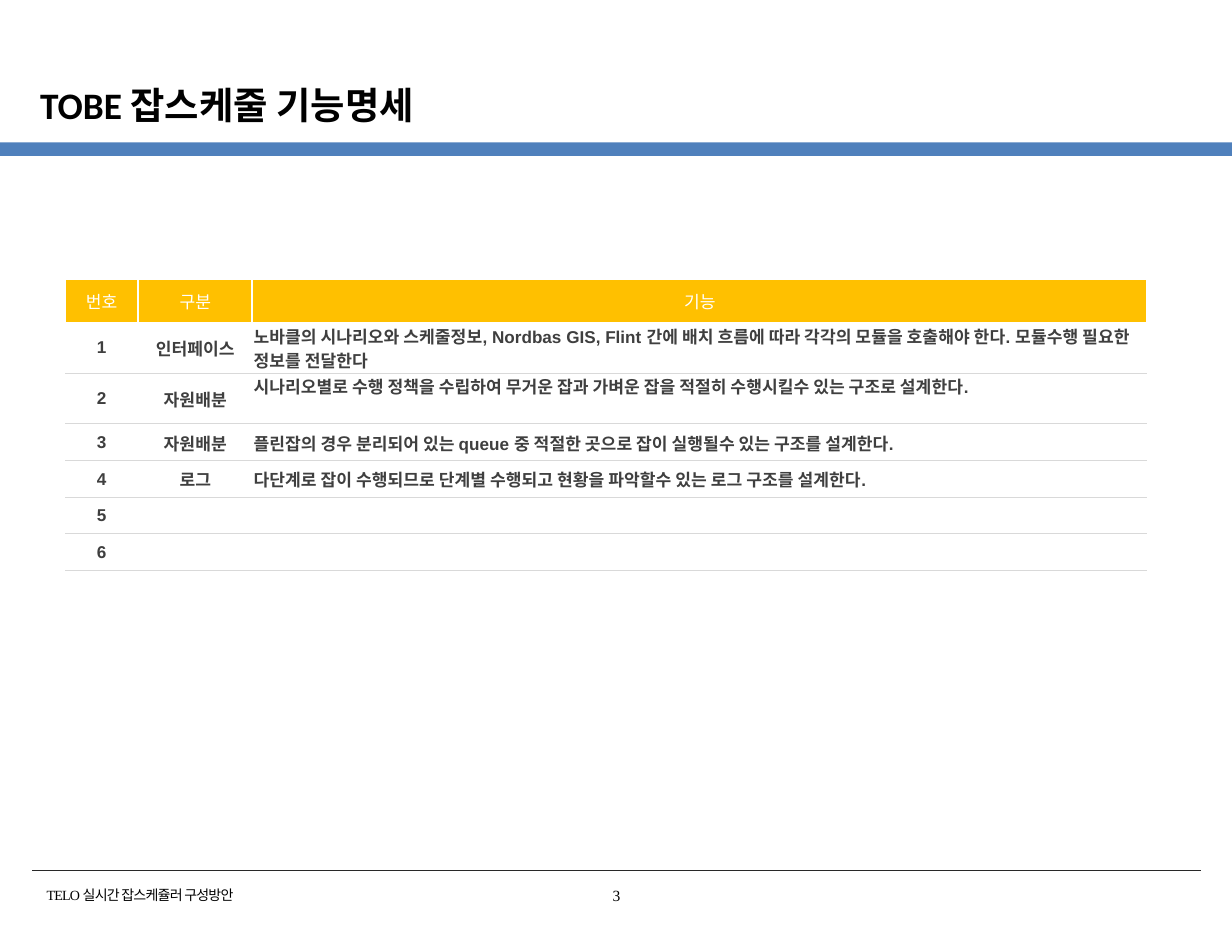
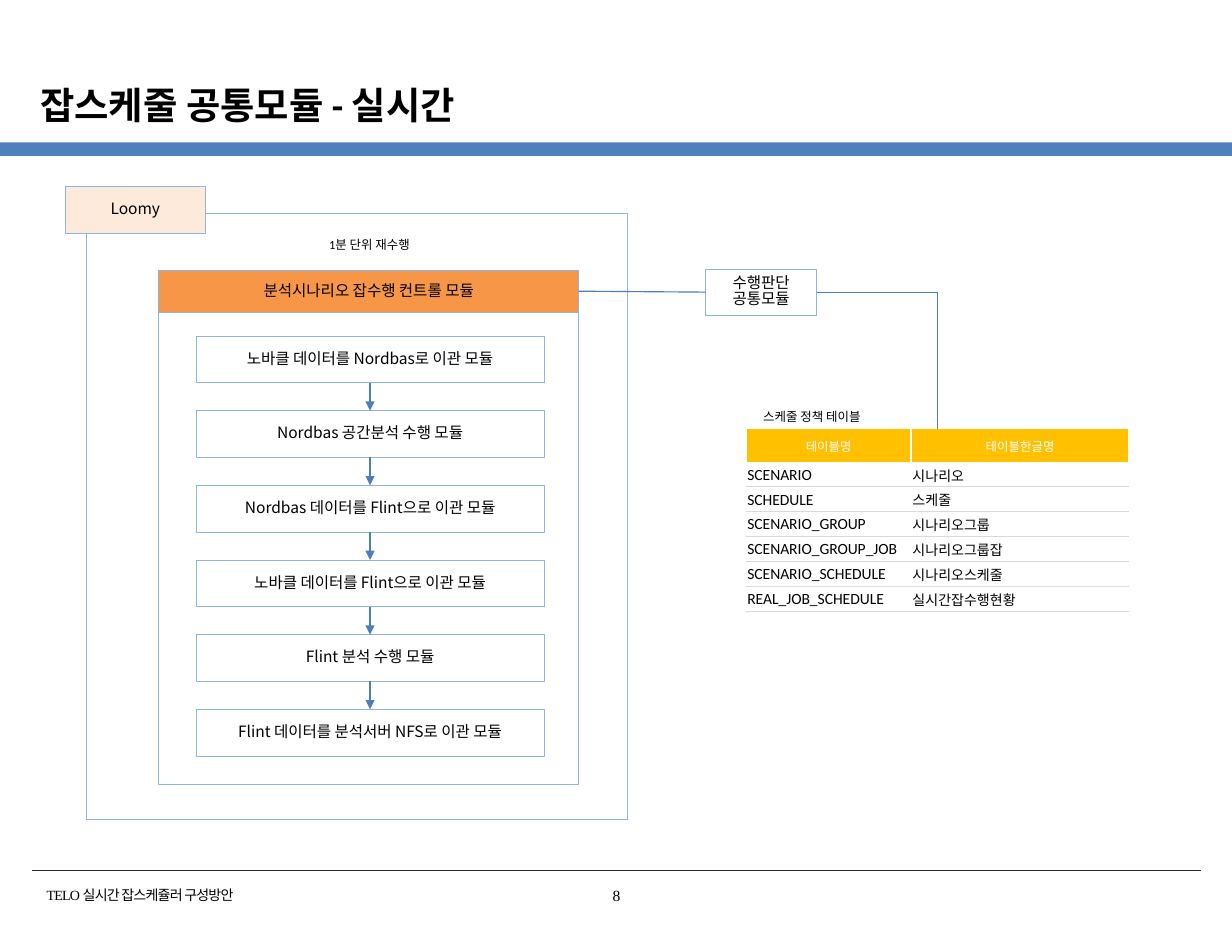
from dataclasses import dataclass

from lxml.etree import SubElement
from pptx import Presentation
from pptx.dml.color import RGBColor
from pptx.enum.shapes import MSO_CONNECTOR, MSO_SHAPE
from pptx.enum.text import MSO_ANCHOR, MSO_AUTO_SIZE, PP_ALIGN
from pptx.oxml.ns import qn
from pptx.util import Emu, Inches, Pt


@dataclass(frozen=True)
class Theme:
    # Colours
    black: str = "000000"
    white: str = "FFFFFF"
    body: str = "3F3F3F"
    band: str = "4F80BC"
    rule: str = "282828"
    outline: str = "8EB4E3"
    arrow: str = "4B7EBC"
    control: str = "F79646"
    engine: str = "FDEADA"
    table_head: str = "FFC000"
    table_rule: str = "D9D9D9"
    # Fonts
    heading: str = "Calibri"
    table: str = "Arial"
    footer: str = "Times New Roman"
    diagram: str = "Noto Sans CJK JP"
    korean: str = "Noto Sans CJK KR"
    # Type sizes
    title_size: float = 24
    table_size: float = 11
    box_size: float = 10
    footer_size: float = 9
    label_size: float = 8


THEME = Theme()
UNITS_PER_INCH = 12  # the page grid: 132 columns by 102 rows
COLUMNS, ROWS = 132, 102
NO_TABLE_STYLE = "{2D5ABB26-0587-4C30-8999-92F81FD0307C}"


def grid(*units):
    """Turn grid columns or rows into slide lengths."""
    return [Emu(round(Inches(1) * unit / UNITS_PER_INCH)) for unit in units]


def colour(value):
    return RGBColor.from_string(value)


# Text

def write(frame, text, *, size, font=THEME.heading, east=THEME.korean,
          ink=THEME.black, bold=False, align=PP_ALIGN.LEFT,
          anchor=MSO_ANCHOR.TOP, inset=None, spacing=None, before=None,
          tracking=None):
    """Fill a text frame, one paragraph for each line of text."""
    frame.word_wrap = True
    frame.vertical_anchor = anchor
    if inset is not None:
        frame.margin_left = frame.margin_right = Inches(inset)
        frame.margin_top = frame.margin_bottom = Inches(inset)
    for index, line in enumerate(text.split("\n")):
        para = frame.add_paragraph() if index else frame.paragraphs[0]
        para.alignment = align
        if spacing:
            para.line_spacing = spacing
        if before is not None:
            para.space_before = Pt(before)
        span = para.add_run()
        span.text = line
        span.font.size = Pt(size)
        span.font.bold = bold
        span.font.color.rgb = colour(ink)
        span.font.name = font
        properties = span.font._element
        SubElement(properties, qn("a:ea")).set("typeface", east)
        if tracking:
            properties.set("spc", str(round(tracking * 100)))


def add_label(page, text, place, **format):
    label = page.shapes.add_textbox(*grid(*place))
    write(label.text_frame, text, **format)
    return label


# Shapes and lines

def add_box(page, place, text="", *, fill=THEME.white, line=THEME.outline,
            font=THEME.diagram, east=THEME.diagram):
    box = page.shapes.add_shape(MSO_SHAPE.RECTANGLE, *grid(*place))
    box.shadow.inherit = False
    if fill:
        box.fill.solid()
        box.fill.fore_color.rgb = colour(fill)
    else:
        box.fill.background()
    if line:
        box.line.color.rgb = colour(line)
        box.line.width = Pt(0.25)
    else:
        box.line.fill.background()
    if text:
        write(box.text_frame, text, size=THEME.box_size, font=font, east=east,
              align=PP_ALIGN.CENTER, anchor=MSO_ANCHOR.MIDDLE, inset=0,
              spacing=0.85)
    return box


def add_line(page, start, end, *, ink=THEME.arrow, width=0.75, arrow=False,
             corner=False):
    kind = MSO_CONNECTOR.ELBOW if corner else MSO_CONNECTOR.STRAIGHT
    line = page.shapes.add_connector(kind, *grid(*start, *end))
    line.line.color.rgb = colour(ink)
    line.line.width = Pt(width)
    properties = line._element.spPr
    if corner:
        properties.find(qn("a:prstGeom")).set("prst", "bentConnector2")
    if arrow:
        SubElement(properties.find(qn("a:ln")), qn("a:tailEnd")).set("type", "triangle")
    SubElement(properties, qn("a:effectLst"))
    return line


# Tables

def set_borders(cell, sides, ink, width):
    properties = cell._tc.get_or_add_tcPr()
    for index, side in enumerate(sides):
        border = SubElement(properties, qn(f"a:ln{side}"))
        border.set("w", str(Pt(width)))
        fill = SubElement(border, qn("a:solidFill"))
        SubElement(fill, qn("a:srgbClr")).set("val", ink)
        properties.insert(index, border)


def write_cell(cell, text, *, margins=None, anchor=MSO_ANCHOR.MIDDLE, **format):
    if text:
        write(cell.text_frame, text, **format)
    cell.vertical_anchor = anchor
    if margins is not None:
        cell.margin_left = cell.margin_right = cell.margin_top = Inches(margins)
        cell.margin_bottom = 0


def add_table(page, corner, widths, heights, header, records, *, head_format,
              column_formats, top_rows=()):
    """Add a table with a filled header and thin rules under the records."""
    size = (sum(widths), sum(heights))
    frame = page.shapes.add_table(len(heights), len(widths), *grid(*corner, *size))
    table = frame.table
    table._tbl.tblPr.find(qn("a:tableStyleId")).text = NO_TABLE_STYLE
    for column, width in zip(table.columns, grid(*widths)):
        column.width = width
    for row, height in zip(table.rows, grid(*heights)):
        row.height = height
    for index, text in enumerate(header):
        cell = table.cell(0, index)
        write_cell(cell, text, ink=THEME.white, align=PP_ALIGN.CENTER, **head_format)
        cell.fill.solid()
        cell.fill.fore_color.rgb = colour(THEME.table_head)
        set_borders(cell, "LR", THEME.white, 1.5)
    for number, record in enumerate(records, 1):
        for index, (text, format) in enumerate(zip(record, column_formats)):
            cell = table.cell(number, index)
            at_top = (number, index) in top_rows
            write_cell(cell, text, margins=0.01,
                       anchor=MSO_ANCHOR.TOP if at_top else MSO_ANCHOR.MIDDLE,
                       **format)
            cell.fill.background()
            set_borders(cell, "B", THEME.table_rule, 0.5)
    return table


# Shared page frame

def add_page(deck, title, number):
    page = deck.slides.add_slide(deck.slide_layouts[5])
    add_box(page, (0, 15.25, COLUMNS, 1.45), fill=THEME.band, line=None)
    add_line(page, (3.45, 93.25), (128.65, 93.25), ink=THEME.rule, width=0.25)
    add_label(page, "TELO 실시간 잡스케쥴러 구성방안", (5, 95, 38, 1.8),
              size=THEME.footer_size, font=THEME.footer, inset=0, before=1.5,
              tracking=-0.5)
    add_box(page, (63.6, 94.45, 4.9, 3.35), str(number), line=None,
            font=THEME.footer)
    heading = page.shapes.title
    heading.left, heading.top, heading.width, heading.height = grid(3.1, 8, 107.3, 6.5)
    heading.text_frame.auto_size = MSO_AUTO_SIZE.NONE
    write(heading.text_frame, title, size=THEME.title_size, bold=True,
          anchor=MSO_ANCHOR.MIDDLE)
    return page


# Pages

def add_functions_page(deck):
    page = add_page(deck, "TOBE 잡스케줄 기능명세", 3)
    records = [
        ("1", "인터페이스", "노바클의 시나리오와 스케줄정보, Nordbas GIS, Flint 간에 배치 흐름에 "
         "따라 각각의 모듈을 호출해야 한다. 모듈수행 필요한 정보를 전달한다"),
        ("2", "자원배분", "시나리오별로 수행 정책을 수립하여 무거운 잡과 가벼운 잡을 적절히 "
         "수행시킬수 있는 구조로 설계한다."),
        ("3", "자원배분", "플린잡의 경우 분리되어 있는 queue 중 적절한 곳으로 잡이 실행될수 "
         "있는 구조를 설계한다."),
        ("4", "로그", "다단계로 잡이 수행되므로 단계별 수행되고 현황을 파악할수 있는 로그 "
         "구조를 설계한다."),
        ("5", "", ""),
        ("6", "", ""),
    ]
    plain = dict(size=THEME.table_size, font=THEME.table)
    strong = dict(plain, bold=True, ink=THEME.body)
    centred = dict(strong, align=PP_ALIGN.CENTER)
    add_table(page, (7, 30), (7.8, 12.25, 95.9),
              [4.5] + [5.46] * 2 + [3.92] * 4,
              ("번호", "구분", "기능"), records, head_format=plain,
              column_formats=(centred, centred, strong), top_rows={(2, 2)})


def add_flow(page):
    """Draw the scheduler frame with its chain of modules."""
    add_box(page, (9.25, 22.8, 58, 65), fill=None)
    add_box(page, (7, 20, 15, 5), "Loomy", fill=THEME.engine)
    add_label(page, "1분 단위 재수행", (33.1, 24.85, 13, 2.9),
              size=THEME.label_size, align=PP_ALIGN.CENTER)
    add_box(page, (17, 33.45, 45, 50.55))
    add_box(page, (17, 29, 45, 4.45), "분석시나리오 잡수행 컨트롤 모듈",
            fill=THEME.control)
    steps = (
        "노바클 데이터를 Nordbas로 이관 모듈",
        "Nordbas 공간분석 수행 모듈",
        "Nordbas 데이터를 Flint으로 이관 모듈",
        "노바클 데이터를 Flint으로 이관 모듈",
        "Flint 분석 수행 모듈",
        "Flint 데이터를 분석서버 NFS로 이관 모듈",
    )
    left, top, width, height, pitch = 21, 36, 37.3, 5, 8
    middle = left + width / 2
    for index, step in enumerate(steps):
        row = top + index * pitch
        add_box(page, (left, row, width, height), step)
        if index:
            add_line(page, (middle, row - pitch + height), (middle, row), arrow=True)


def add_policy(page):
    """Draw the decision module and the tables it reads."""
    add_box(page, (75.6, 28.8, 11.9, 5), "수행판단\n공통모듈")
    add_line(page, (62, 31.2), (75.6, 31.3))
    add_line(page, (87.5, 31.3), (100.45, 46), corner=True)
    add_label(page, "스케줄 정책 테이블", (79.1, 43.2, 15.8, 2.9),
              size=THEME.label_size, align=PP_ALIGN.CENTER)
    records = (
        ("SCENARIO", "시나리오"),
        ("SCHEDULE", "스케줄"),
        ("SCENARIO_GROUP", "시나리오그룹"),
        ("SCENARIO_GROUP_JOB", "시나리오그룹잡"),
        ("SCENARIO_SCHEDULE", "시나리오스케줄"),
        ("REAL_JOB_SCHEDULE", "실시간잡수행현황"),
    )
    add_table(page, (79.95, 46), (17.7, 23.3),
              [3.5] + [2.66] * len(records), ("테이블명", "테이블한글명"), records,
              head_format=dict(size=THEME.label_size),
              column_formats=(dict(size=THEME.box_size),
                              dict(size=THEME.footer_size, font=THEME.korean)))


def add_realtime_page(deck):
    page = add_page(deck, "잡스케줄 공통모듈 - 실시간", 8)
    add_flow(page)
    add_policy(page)


def main():
    deck = Presentation()
    deck.slide_width, deck.slide_height = grid(COLUMNS, ROWS)
    add_functions_page(deck)
    add_realtime_page(deck)
    deck.save("out.pptx")


main()
